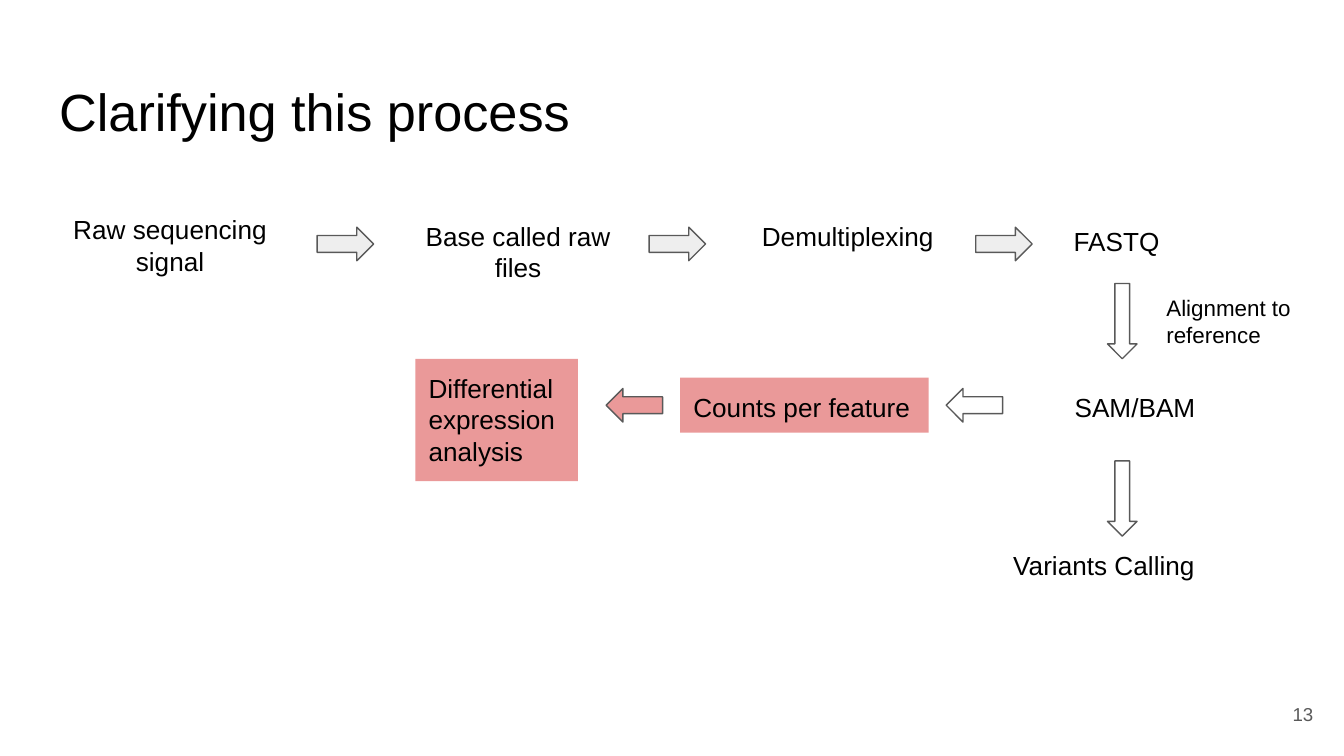
from dataclasses import dataclass
from typing import Optional

from pptx import Presentation
from pptx.dml.color import RGBColor
from pptx.enum.shapes import MSO_SHAPE
from pptx.enum.text import MSO_ANCHOR, MSO_AUTO_SIZE, PP_ALIGN
from pptx.util import Inches, Pt

LEFT, CENTER, RIGHT = PP_ALIGN.LEFT, PP_ALIGN.CENTER, PP_ALIGN.RIGHT
TOP, MIDDLE = MSO_ANCHOR.TOP, MSO_ANCHOR.MIDDLE
NO_AUTOFIT = MSO_AUTO_SIZE.NONE
RECTANGLE = MSO_SHAPE.RECTANGLE
RIGHT_ARROW, LEFT_ARROW = MSO_SHAPE.RIGHT_ARROW, MSO_SHAPE.LEFT_ARROW
DOWN_ARROW = MSO_SHAPE.DOWN_ARROW

FONT = "Arial"
SLIDE_WIDTH = 10
SLIDE_HEIGHT = SLIDE_WIDTH * 9 / 16
COLORS = {
    "text": "000000",
    "muted": "595959",
    "sequencing": "EEEEEE",
    "expression": "EA9999",
}


@dataclass(frozen=True)
class Step:
    text: str
    left: float
    top: float
    width: float = 1.85
    height: float = 0.41
    align: PP_ALIGN = LEFT
    fill: Optional[str] = None
    size: int = 14


@dataclass(frozen=True)
class Arrow:
    direction: MSO_SHAPE
    left: float
    top: float
    fill: Optional[str] = None


def color(name: str) -> RGBColor:
    return RGBColor.from_string(COLORS[name])


def write(shape, text: str, *, size: int = 14, ink: str = "text",
          align: PP_ALIGN = LEFT, anchor: MSO_ANCHOR = TOP) -> None:
    frame = shape.text_frame
    frame.word_wrap = True
    frame.auto_size = NO_AUTOFIT
    frame.vertical_anchor = anchor
    frame.margin_left = frame.margin_right = Inches(0.1)
    frame.margin_top = frame.margin_bottom = Inches(0.1)
    paragraph = frame.paragraphs[0]
    paragraph.alignment = align
    paragraph.line_spacing = 1.0
    run = paragraph.add_run()
    run.text = text
    run.font.name = FONT
    run.font.size = Pt(size)
    run.font.color.rgb = color(ink)


def draw_step(slide, step: Step) -> None:
    box = [Inches(v) for v in (step.left, step.top, step.width, step.height)]
    if step.fill:
        label = slide.shapes.add_shape(RECTANGLE, *box)
        label.shadow.inherit = False
        label.fill.solid()
        label.fill.fore_color.rgb = color(step.fill)
        label.line.fill.background()
    else:
        label = slide.shapes.add_textbox(*box)
    write(label, step.text, size=step.size, align=step.align)


def draw_arrow(slide, arrow: Arrow) -> None:
    width, height = (0.22, 0.56) if arrow.direction == DOWN_ARROW else (0.42, 0.25)
    block = slide.shapes.add_shape(
        arrow.direction, Inches(arrow.left), Inches(arrow.top),
        Inches(width), Inches(height))
    block.shadow.inherit = False
    if arrow.fill:
        block.fill.solid()
        block.fill.fore_color.rgb = color(arrow.fill)
    else:
        block.fill.background()
    block.line.color.rgb = color("muted")
    block.line.width = Pt(0.75)


STEPS = [
    # From signal to reads
    Step("Raw sequencing signal", 0.34, 1.49, height=0.45, align=CENTER),
    Step("Base called raw files", 2.93, 1.54, height=0.45, align=CENTER),
    Step("Demultiplexing", 5.57, 1.54, width=1.48, height=0.45),
    Step("FASTQ", 7.89, 1.58, width=0.96),
    # Alignment and variants
    Step("Alignment to reference", 8.58, 2.09, width=1.21, height=0.63, size=12),
    Step("SAM/BAM", 7.52, 2.81, align=CENTER),
    Step("Variants Calling", 7.44, 3.99),
    # Expression branch
    Step("Counts per feature", 5.06, 2.81, fill="expression"),
    Step("Differential expression analysis", 3.09, 2.67, width=1.21, height=0.91,
         fill="expression"),
]

ARROWS = [
    *(Arrow(RIGHT_ARROW, left, 1.69, "sequencing") for left in (2.36, 4.83, 7.26)),
    *(Arrow(DOWN_ARROW, 8.24, top) for top in (2.11, 3.43)),
    Arrow(LEFT_ARROW, 7.04, 2.89),
    Arrow(LEFT_ARROW, 4.51, 2.89, "expression"),
]


def main() -> None:
    deck = Presentation()
    deck.slide_width, deck.slide_height = Inches(SLIDE_WIDTH), Inches(SLIDE_HEIGHT)
    slide = deck.slides.add_slide(deck.slide_layouts[5])

    # Title
    title = slide.shapes.title
    title.left, title.top = Inches(0.34), Inches(0.49)
    title.width, title.height = Inches(9.32), Inches(0.63)
    write(title, "Clarifying this process", size=28)

    # Workflow
    for step in STEPS:
        draw_step(slide, step)
    for arrow in ARROWS:
        draw_arrow(slide, arrow)

    # Slide number
    page_number = slide.shapes.add_textbox(
        Inches(9.27), Inches(5.1), Inches(0.6), Inches(0.43))
    write(page_number, "13", size=10, ink="muted", align=RIGHT, anchor=MIDDLE)

    deck.save("out.pptx")


if __name__ == "__main__":
    main()
